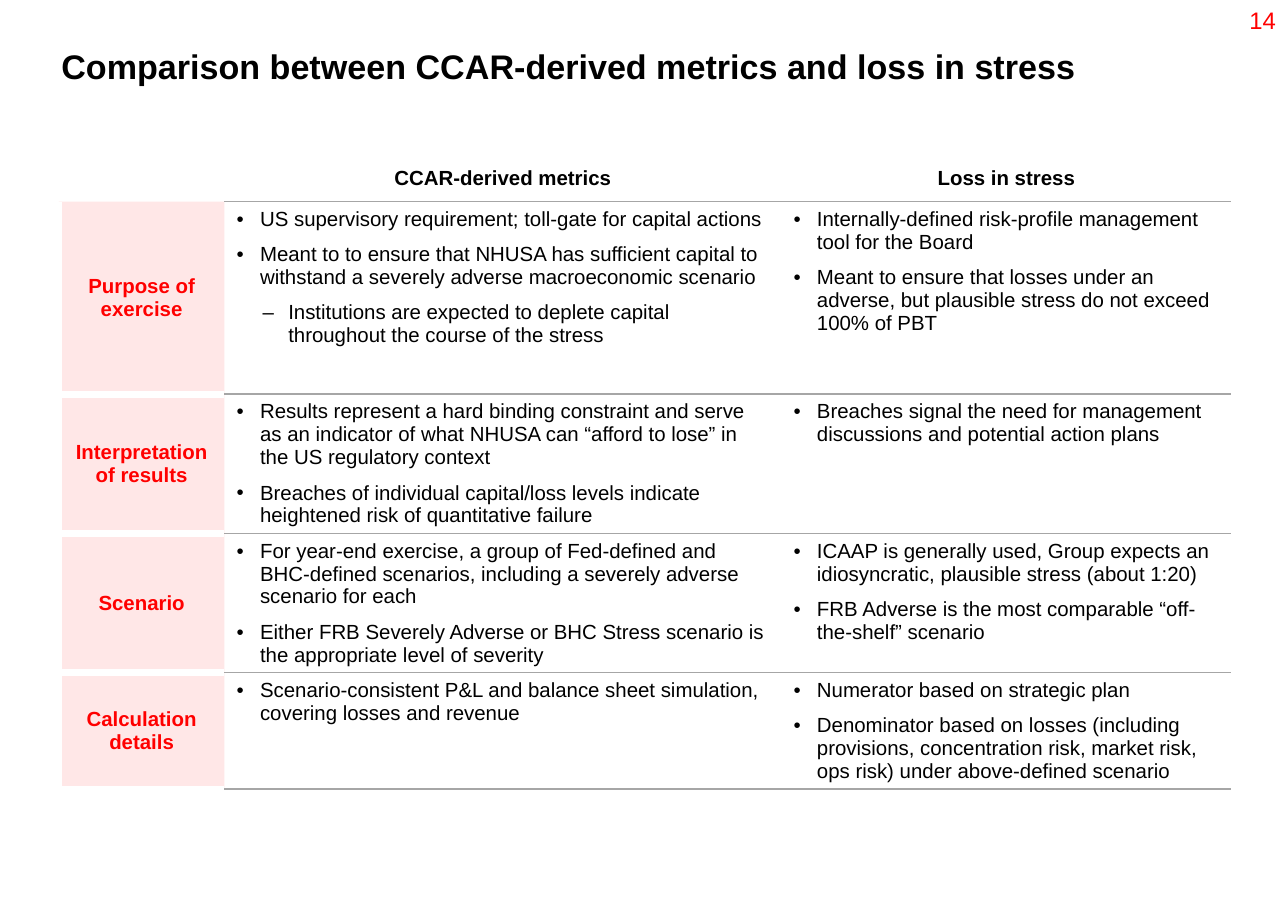
from lxml import etree
from pptx import Presentation
from pptx.dml.color import RGBColor
from pptx.enum import text as t
from pptx.oxml import ns
from pptx.util import Inches, Pt

BLACK = RGBColor(0x00, 0x00, 0x00)
RED = RGBColor(0xFF, 0x00, 0x00)
PINK = RGBColor(0xFF, 0xCC, 0xCC)
GREY = RGBColor(0xA6, 0xA6, 0xA6)
WHITE = RGBColor(0xFF, 0xFF, 0xFF)
PINK_OPACITY = 46000
PLAIN_TABLE_STYLE = "{2D5ABB26-0587-4C30-8999-92F81FD0307C}"

# Content: a bullet is a (level, text) pair
TITLE = "Comparison between CCAR-derived metrics and loss in stress"
PAGE_NUMBER = "14"
HEADERS = ["CCAR-derived metrics", "Loss in stress"]
TOPICS = [
    ("Purpose of exercise",
     [(0, "US supervisory requirement; toll-gate for capital actions"),
      (0, "Meant to to ensure that NHUSA has sufficient capital to withstand "
          "a severely adverse macroeconomic scenario"),
      (1, "Institutions are expected to deplete capital throughout the "
          "course of the stress")],
     [(0, "Internally-defined risk-profile management tool for the Board"),
      (0, "Meant to ensure that losses under an adverse, but plausible "
          "stress do not exceed 100% of PBT")]),
    ("Interpretation of results",
     [(0, "Results represent a hard binding constraint and serve as an "
          "indicator of what NHUSA can “afford to lose” in the US "
          "regulatory context"),
      (0, "Breaches of individual capital/loss levels indicate heightened "
          "risk of quantitative failure")],
     [(0, "Breaches signal the need for management discussions and "
          "potential action plans")]),
    ("Scenario",
     [(0, "For year-end exercise, a group of Fed-defined and BHC-defined "
          "scenarios, including a severely adverse scenario for each"),
      (0, "Either FRB Severely Adverse or BHC Stress scenario is the "
          "appropriate level of severity")],
     [(0, "ICAAP is generally used, Group expects an idiosyncratic, "
          "plausible stress (about 1:20)"),
      (0, "FRB Adverse is the most comparable “off-the-shelf” scenario")]),
    ("Calculation details",
     [(0, "Scenario-consistent P&L and balance sheet simulation, covering "
          "losses and revenue")],
     [(0, "Numerator based on strategic plan"),
      (0, "Denominator based on losses (including provisions, concentration "
          "risk, market risk, ops risk) under above-defined scenario")]),
]
COLUMN_WIDTHS = [1.35, 4.54, 3.67]
ROW_HEIGHTS = [0.29, 1.57, 1.13, 1.13, 0.95]
BULLETS = [("•", 0.19, 0.19), ("–", 0.42, 0.21)]  # mark, indent, hanging


def write(paragraph, words, size=12, color=BLACK, bold=False,
          align=t.PP_ALIGN.LEFT, line_spacing=1.0, before=0):
    paragraph.alignment = align
    paragraph.line_spacing = line_spacing
    paragraph.space_before = Pt(before)
    run = paragraph.add_run()
    run.text = words
    run.font.name = "Arial"
    run.font.size = Pt(size)
    run.font.bold = bold
    run.font.color.rgb = color


def add_bullet(paragraph, level):
    mark, indent, hanging = BULLETS[level]
    paragraph.level = level
    properties = paragraph._p.get_or_add_pPr()
    properties.set("marL", str(Inches(indent)))
    properties.set("indent", str(-Inches(hanging)))
    etree.SubElement(properties, ns.qn("a:buFont"), typeface="Arial")
    etree.SubElement(properties, ns.qn("a:buChar"), char=mark)


def write_list(cell, bullets):
    frame = cell.text_frame
    for number, (level, words) in enumerate(bullets):
        paragraph = frame.add_paragraph() if number else frame.paragraphs[0]
        write(paragraph, words, before=7.3 if number else 0)
        add_bullet(paragraph, level)


def add_borders(cell, sides, color, width):
    """Sides are given in the order L, R, T, B; borders precede the fill."""
    properties = cell._tc.get_or_add_tcPr()
    for position, side in enumerate(sides):
        line = etree.Element(ns.qn("a:ln" + side), w=str(Pt(width)))
        fill = etree.SubElement(line, ns.qn("a:solidFill"))
        etree.SubElement(fill, ns.qn("a:srgbClr"), val=str(color))
        properties.insert(position, line)


presentation = Presentation()
presentation.slide_width = Inches(10.5)
presentation.slide_height = Inches(7.5)
slide = presentation.slides.add_slide(presentation.slide_layouts[5])

# Title
title = slide.shapes.title
title.left, title.top = Inches(0.5), Inches(0.41)
title.width, title.height = Inches(9.5), Inches(0.83)
frame = title.text_frame
frame.margin_left = frame.margin_right = 0
frame.margin_top = frame.margin_bottom = 0
frame.vertical_anchor = t.MSO_ANCHOR.TOP
frame.auto_size = t.MSO_AUTO_SIZE.NONE
write(frame.paragraphs[0], TITLE, size=20, bold=True, line_spacing=0.88)

# Comparison table
table_frame = slide.shapes.add_table(
    len(ROW_HEIGHTS), len(COLUMN_WIDTHS), Inches(0.48), Inches(1.34),
    Inches(sum(COLUMN_WIDTHS)), Inches(sum(ROW_HEIGHTS)))
table = table_frame.table
table.first_row = table.horz_banding = False
table._tbl.tblPr.find(ns.qn("a:tableStyleId")).text = PLAIN_TABLE_STYLE
for column, width in zip(table.columns, COLUMN_WIDTHS):
    column.width = Inches(width)
for row, height in zip(table.rows, ROW_HEIGHTS):
    row.height = Inches(height)
for cell in table.iter_cells():
    cell.fill.background()

# Header row: the empty corner gets a small font so the row stays low
corner = table.cell(0, 0).text_frame.paragraphs[0]
etree.SubElement(corner._p, ns.qn("a:endParaRPr"), sz="1200")
for column, header in enumerate(HEADERS, start=1):
    cell = table.cell(0, column)
    write(cell.text_frame.paragraphs[0], header, bold=True,
          align=t.PP_ALIGN.CENTER, line_spacing=0.8)
    add_borders(cell, "B", GREY, 1)

# Topic rows: pink label, then one list per column
for row, (label, *lists) in enumerate(TOPICS, start=1):
    cell = table.cell(row, 0)
    cell.vertical_anchor = t.MSO_ANCHOR.MIDDLE
    write(cell.text_frame.paragraphs[0], label, color=RED, bold=True,
          align=t.PP_ALIGN.CENTER)
    cell.fill.solid()
    cell.fill.fore_color.rgb = PINK
    pink = cell._tc.tcPr.find(".//" + ns.qn("a:srgbClr"))
    etree.SubElement(pink, ns.qn("a:alpha"), val=str(PINK_OPACITY))
    add_borders(cell, "LB" if row == 1 else "LTB", WHITE, 4.5)
    for column, bullets in enumerate(lists, start=1):
        cell = table.cell(row, column)
        write_list(cell, bullets)
        add_borders(cell, "TB", GREY, 1)

# Page number
number_box = slide.shapes.add_textbox(
    Inches(10.06), Inches(0), Inches(0.44), Inches(0.42))
number_box.text_frame.word_wrap = True
write(number_box.text_frame.paragraphs[0], PAGE_NUMBER, size=14, color=RED,
      align=t.PP_ALIGN.RIGHT)

presentation.save("out.pptx")
